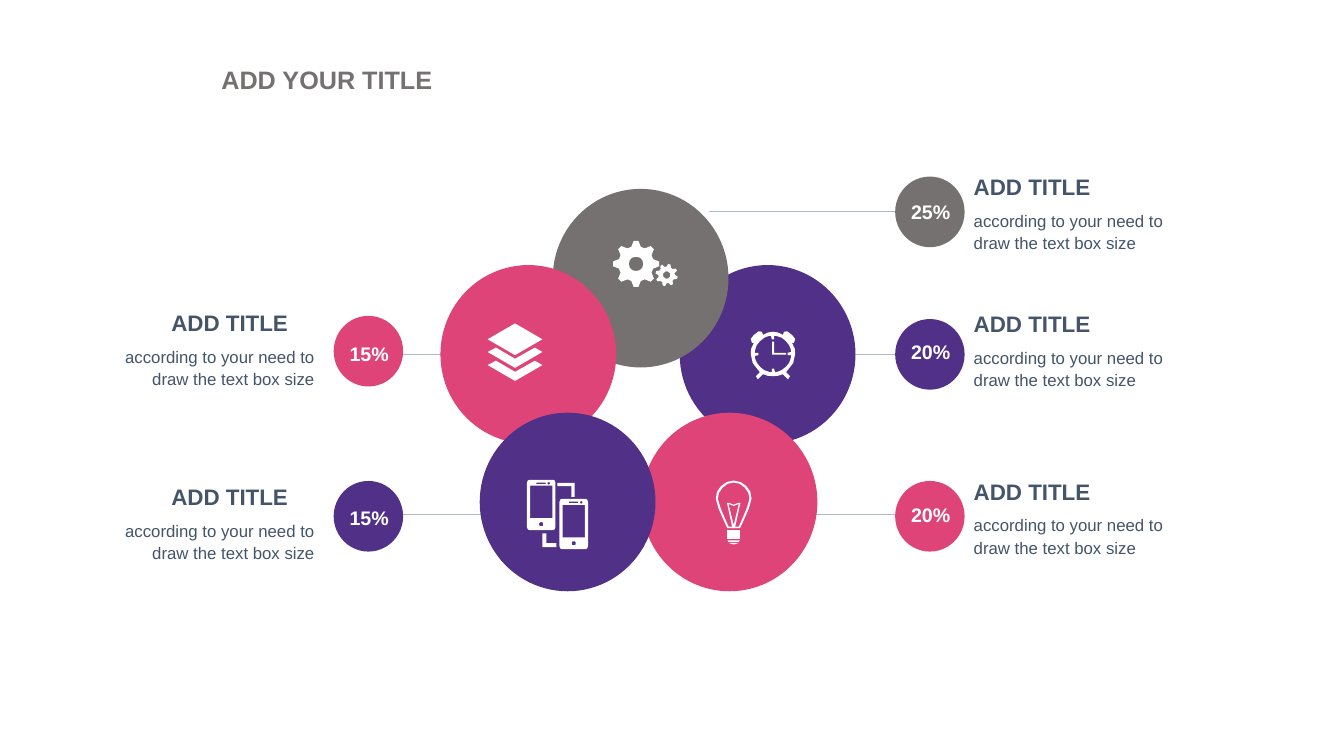
import math

import pptx
import pptx.util
import pptx.dml.color
import pptx.enum.shapes
import pptx.enum.text

Cm = pptx.util.Cm
rgb = pptx.dml.color.RGBColor.from_string
Align = pptx.enum.text.PP_ALIGN
GRAY, PURPLE, PINK = "767171", "513087", "DE4477"
WHITE, SLATE, LINE = "FFFFFF", "445469", "ADBACA"

deck = pptx.Presentation()
deck.slide_width, deck.slide_height = Cm(33.87), Cm(19.05)
slide = deck.slides.add_slide(deck.slide_layouts[6])
shapes = slide.shapes


def add_text(text, left, top, width, height, size, color, bold=False,
             align=Align.LEFT, inset=(0, 0), wrap=True, spacing=1.0):
    box = shapes.add_textbox(Cm(left), Cm(top), Cm(width), Cm(height))
    frame = box.text_frame
    frame.word_wrap = wrap
    frame.margin_left = frame.margin_right = Cm(inset[0])
    frame.margin_top = frame.margin_bottom = Cm(inset[1])
    paragraph = frame.paragraphs[0]
    paragraph.alignment = align
    paragraph.line_spacing = spacing
    run = paragraph.add_run()
    run.text = text
    run.font.name, run.font.size, run.font.bold = "Arial", pptx.util.Pt(size), bold
    run.font.color.rgb = rgb(color)


def polar(center, profile, repeats, turn=0):
    """Repeat a profile of (degrees, radius) evenly around a center."""
    angles = [(math.radians(turn + 360 * step / repeats + degrees), radius)
              for step in range(repeats) for degrees, radius in profile]
    return [(center[0] + radius * math.cos(angle), center[1] + radius * math.sin(angle))
            for angle, radius in angles]


# Leader lines
for start, end, y in [(8.92, 11.4, 8.94), (8.92, 12.27, 12.95), (17.86, 23.8, 5.33),
                      (21.31, 23.8, 8.94), (20.32, 23.8, 12.95)]:
    leader = shapes.add_connector(pptx.enum.shapes.MSO_CONNECTOR.STRAIGHT,
                                  Cm(start), Cm(y), Cm(end), Cm(y))
    leader.line.color.rgb = rgb(LINE)
    leader.line.width = pptx.util.Pt(0.5)
    leader._element.spPr.append(pptx.oxml.parse_xml(
        '<a:effectLst xmlns:a="http://schemas.openxmlformats.org/drawingml/2006/main"/>'))

# Callouts: side, color, share, badge top, share top, title top
callouts = [
    ("right", GRAY, "25%", 4.45, 4.95, 4.37),
    ("right", PURPLE, "20%", 8.04, 8.48, 7.82),
    ("right", PINK, "20%", 12.12, 12.6, 12.04),
    ("left", PINK, "15%", 7.96, 8.53, 7.8),
    ("left", PURPLE, "15%", 12.12, 12.67, 12.17),
]
badge_left = {"left": 8.41, "right": 22.56}

# Overlapping circles and small badges
discs = [(17.13, 6.68, 4.43, 4.5, PURPLE), (13.93, 4.76, 4.43, 4.5, GRAY),
         (11.1, 6.68, 4.43, 4.5, PINK), (16.17, 10.4, 4.43, 4.5, PINK),
         (12.09, 10.4, 4.43, 4.5, PURPLE)]
discs += [(badge_left[side], badge_top, 1.75, 1.78, color)
          for side, color, share, badge_top, share_top, title_top in callouts]
for left, top, width, height, color in discs:
    disc = shapes.add_shape(pptx.enum.shapes.MSO_SHAPE.OVAL,
                            Cm(left), Cm(top), Cm(width), Cm(height))
    disc.shadow.inherit = False
    disc.fill.solid()
    disc.fill.fore_color.rgb = rgb(color)
    disc.line.fill.background()

# Each icon part is a list of contours: the outside, then its holes
icon_parts = []

# Gears
for center, tip, root, hole, turn in [((16.03, 6.65), 0.58, 0.45, 0.18, 0),
                                      ((16.8, 6.93), 0.28, 0.21, 0.09, 15)]:
    tooth = [(-16, root), (-6, tip), (6, tip), (16, root)]
    icon_parts.append([polar(center, tooth, 8, turn), polar(center, [(0, hole)], 24)])

# Phones with their links
for x, y in [(13.28, 12.09), (14.1, 12.57)]:
    case = [(0.07, 0), (0.65, 0), (0.7, 0.02), (0.72, 0.08), (0.72, 1.19), (0.7, 1.25),
            (0.65, 1.27), (0.07, 1.27), (0.02, 1.25), (0, 1.19), (0, 0.08), (0.02, 0.02)]
    screen = [(0.08, 0.15), (0.64, 0.15), (0.64, 0.97), (0.08, 0.97)]
    speaker = [(0.24, 0.07), (0.47, 0.07), (0.47, 0.11), (0.24, 0.11)]
    button = polar((0.36, 1.12), [(0, 0.05)], 16)
    camera = polar((0.55, 0.09), [(0, 0.03)], 12)
    icon_parts.append([[(x + dx, y + dy) for dx, dy in contour]
                       for contour in (case, screen, speaker, button, camera)])
icon_parts += [
    [[(14.05, 12.17), (14.48, 12.17), (14.48, 12.52), (14.4, 12.52),
      (14.4, 12.25), (14.05, 12.25)]],
    [[(13.67, 13.44), (13.77, 13.44), (13.77, 13.69), (14.02, 13.69),
      (14.02, 13.79), (13.67, 13.79)]],
]

# Light bulb and alarm clock, given as right halves and mirrored
bulb, clock = (18.49, 12.57), (19.48, 8.92)
glass = [(0, -0.46), (0.18, -0.42), (0.32, -0.32), (0.42, -0.18), (0.45, 0),
         (0.38, 0.25), (0.28, 0.48), (0.16, 0.74)]
glass_hole = [(0, -0.41), (0.15, -0.38), (0.28, -0.28), (0.37, -0.15), (0.4, 0),
              (0.33, 0.23), (0.24, 0.45), (0.13, 0.7)]
filament = [(0, 0.15), (0.12, 0.1), (0.17, 0.1), (0.03, 0.74)]
filament_hole = [(0, 0.18), (0.13, 0.13), (0, 0.66)]
socket = [(0.16, 0.79), (0.16, 1.02)]
band = [(0.15, 1.05), (0.13, 1.09)]
cap = [(0.11, 1.12), (0, 1.15)]
clock_body = [(0, -0.56), (0.13, -0.54), (0.25, -0.48), (0.28, -0.56), (0.36, -0.57),
              (0.48, -0.48), (0.56, -0.38), (0.53, -0.28), (0.48, -0.28), (0.55, -0.13),
              (0.56, 0), (0.51, 0.23), (0.33, 0.46), (0.43, 0.56), (0.38, 0.64),
              (0.25, 0.51), (0.13, 0.55), (0, 0.56)]
for (x, y), halves in [(bulb, [glass, glass_hole]), (bulb, [filament, filament_hole]),
                       (bulb, [socket]), (bulb, [band]), (bulb, [cap]),
                       (clock, [clock_body])]:
    icon_parts.append([[(x + dx, y + dy) for dx, dy in half]
                       + [(x - dx, y + dy) for dx, dy in reversed(half)]
                       for half in halves])
quarter_face = [(degrees, 0.46) for degrees in range(4, 87, 8)] + [(86, 0.37), (94, 0.37)]
icon_parts[-1].append(polar(clock, quarter_face, 4))
icon_parts.append([[(19.46, 8.61), (19.51, 8.61), (19.51, 8.89), (19.81, 8.89),
                    (19.81, 8.94), (19.46, 8.94)]])

# Stacked layers
icon_parts.append([[(12.98, 8.15), (13.67, 8.55), (12.98, 8.95), (12.29, 8.55)]])
for y in (8.76, 9.09):
    icon_parts.append([[(12.98, y + 0.28), (12.5, y), (12.29, y + 0.11),
                        (12.98, y + 0.51), (13.67, y + 0.11), (13.48, y)]])

# Draw the icons on a grid of 0.01 cm
for contours in icon_parts:
    grids = [[(100 * x, 100 * y) for x, y in contour] for contour in contours]
    builder = shapes.build_freeform(*grids[0][0], scale=Cm(0.01))
    builder.add_line_segments(grids[0][1:], close=True)
    for hole in grids[1:]:
        builder.move_to(*hole[0])
        builder.add_line_segments(hole[1:], close=True)
    icon = builder.convert_to_shape()
    icon.shadow.inherit = False
    icon.fill.solid()
    icon.fill.fore_color.rgb = rgb(WHITE)
    icon.line.fill.background()

# Callout texts
for side, color, share, badge_top, share_top, title_top in callouts:
    on_left = side == "left"
    add_text(share, badge_left[side] + 0.21, share_top, 1.37, 0.72, 14, WHITE, bold=True,
             align=Align.CENTER, inset=(0.13, 0.08))
    add_text("ADD TITLE", 4.32 if on_left else 24.54, title_top, 3.61, 0.69, 16, SLATE,
             bold=True)
    add_text("according to your need to draw the text box size",
             2.39 if on_left else 24.54, title_top + 0.89, 5.54 if on_left else 5.72, 1.02,
             12, SLATE, align=Align.RIGHT if on_left else Align.LEFT, spacing=1.1)

# Slide title
add_text("ADD YOUR TITLE", 5.33, 1.5, 5.89, 1.02, 18, GRAY, bold=True,
         inset=(0.25, 0.13), wrap=False)

deck.save("out.pptx")
